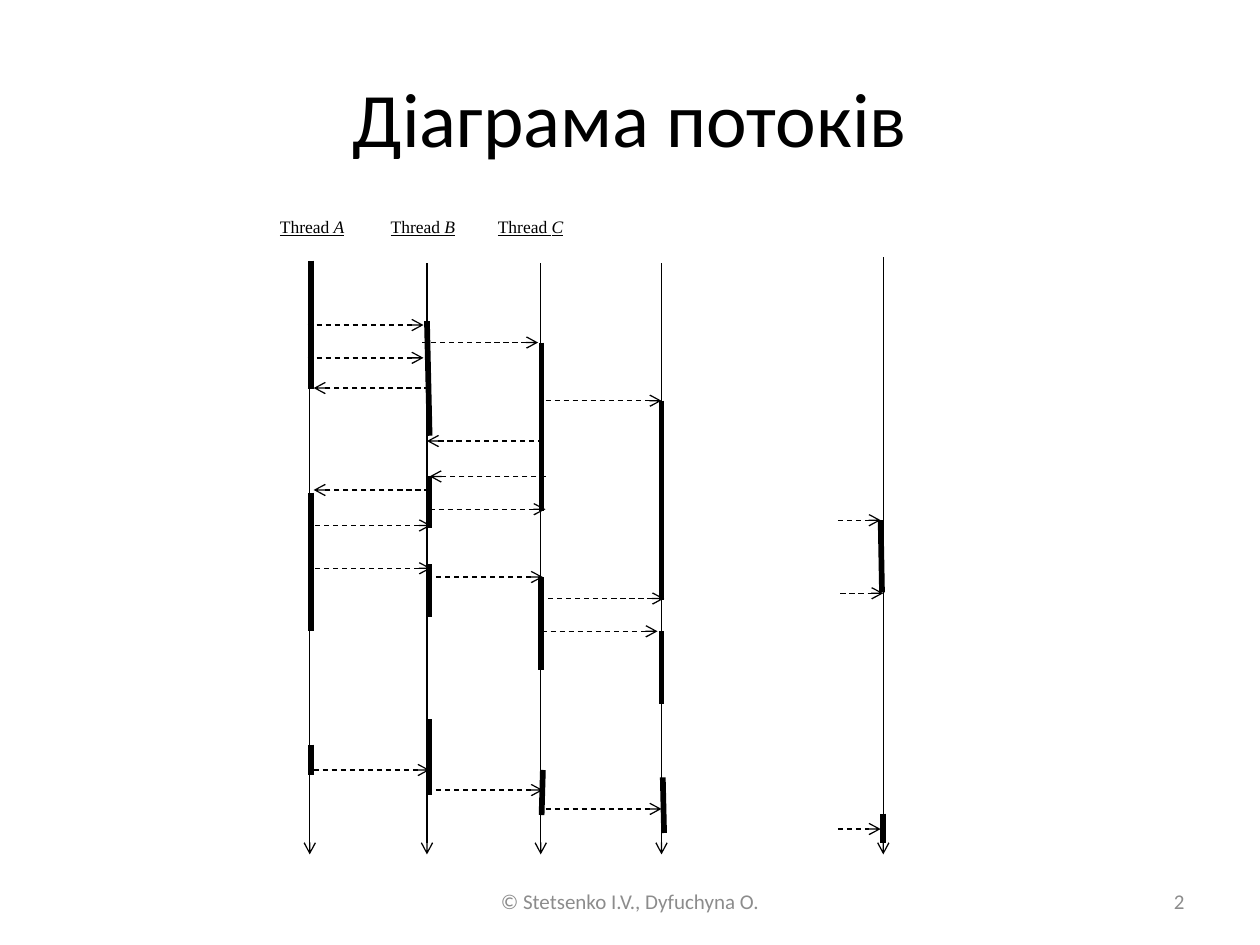
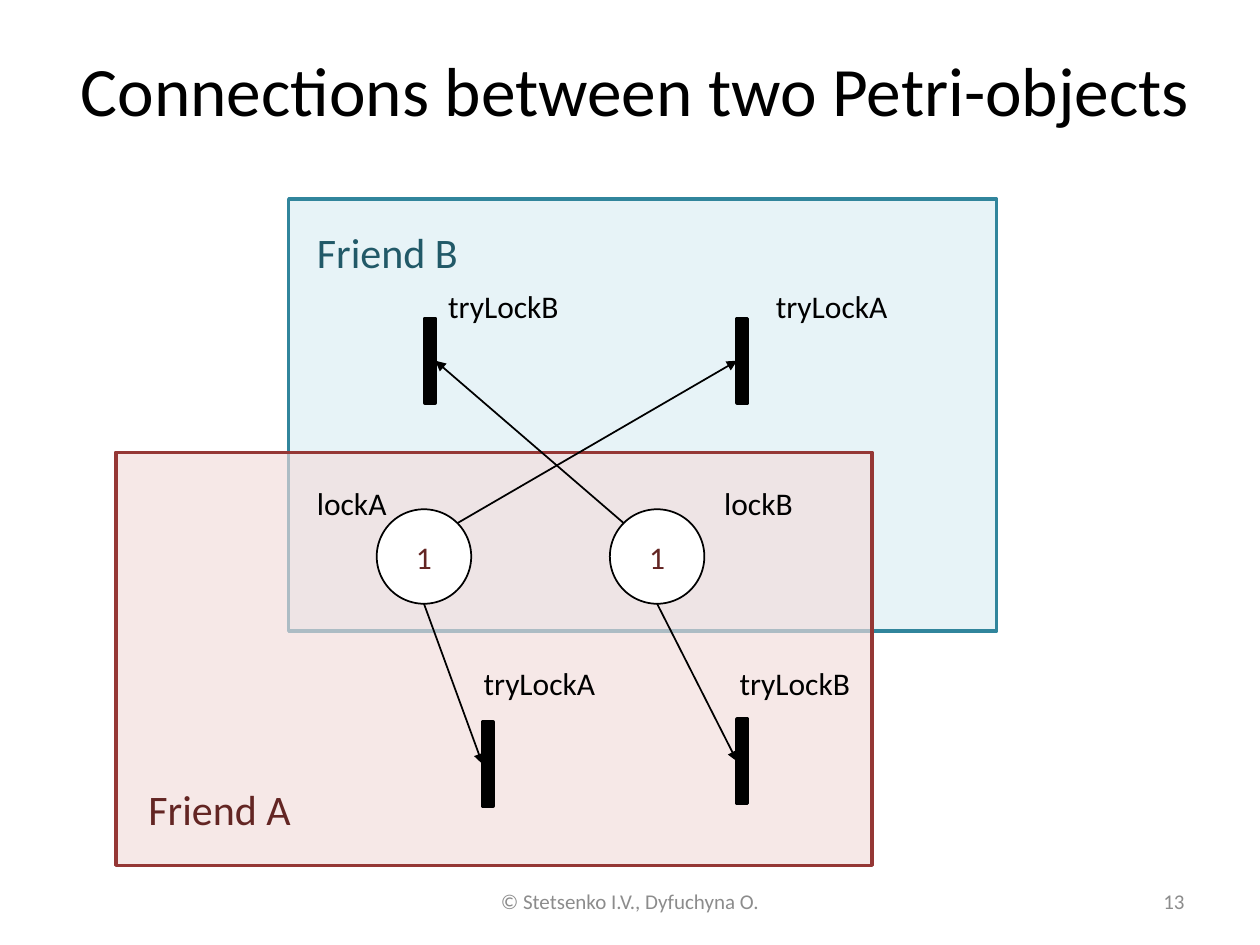
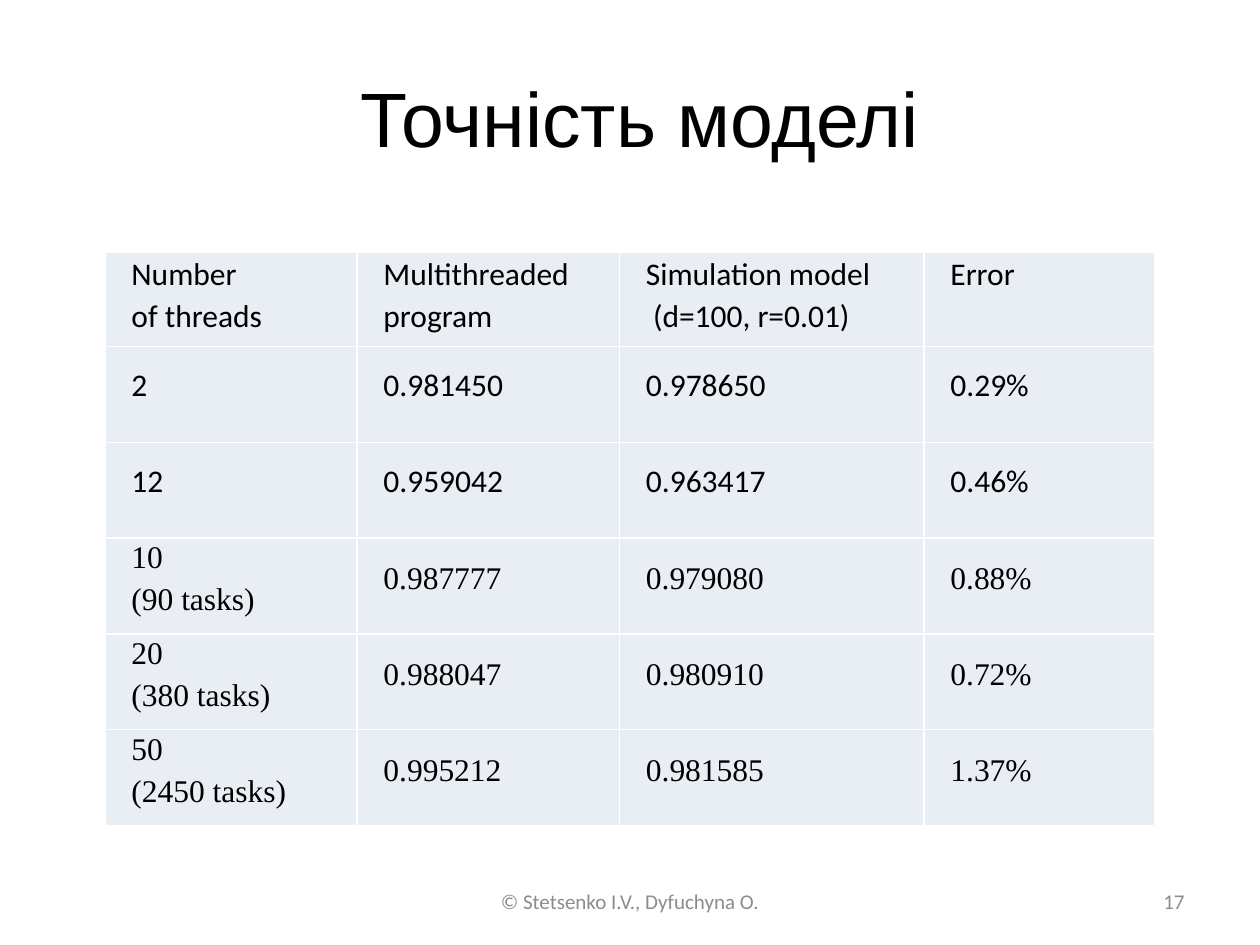
"""Build three slides on thread diagrams, Petri-objects and model accuracy."""
from dataclasses import dataclass

from lxml import etree
from pptx import Presentation
from pptx.dml.color import RGBColor
from pptx.enum.dml import MSO_LINE
from pptx.enum.shapes import MSO_CONNECTOR, MSO_SHAPE
from pptx.enum.text import MSO_ANCHOR, MSO_AUTO_SIZE, PP_ALIGN
from pptx.oxml.ns import qn
from pptx.util import Pt

LEFT, CENTER, RIGHT = PP_ALIGN.LEFT, PP_ALIGN.CENTER, PP_ALIGN.RIGHT
TOP, MIDDLE = MSO_ANCHOR.TOP, MSO_ANCHOR.MIDDLE
RECT, OVAL = MSO_SHAPE.RECTANGLE, MSO_SHAPE.OVAL
STRAIGHT, DASH = MSO_CONNECTOR.STRAIGHT, MSO_LINE.DASH
TITLE_ONLY = 5


@dataclass(frozen=True)
class Theme:
    """Colours, fonts and type sizes shared by the slides."""
    black: str = "000000"
    white: str = "FFFFFF"
    grey: str = "8C8C8C"
    cell: str = "E9EDF4"
    teal_fill: str = "DBEEF4"
    teal_line: str = "31859C"
    teal_text: str = "215968"
    red_fill: str = "F2DCDB"
    red_line: str = "953735"
    red_text: str = "632523"
    sans: str = "Calibri"
    serif: str = "Times New Roman"
    plain: str = "Arial"
    title: float = 44
    long_title: float = 39.6
    heading: float = 24
    body: float = 18
    footer: float = 12
    label: float = 10
    thin: float = 0.75
    thick: float = 3.25
    indent: float = 11.5
    leading: float = 12


THEME = Theme()

FOOTER = "© Stetsenko I.V., Dyfuchyna O."
TITLE_BOX = (36, 21.6, 648, 90)

THREAD_LABELS = [("A", 160), ("B", 223.25), ("C", 284.5)]
LIFELINES = [(177, 150.5), (244, 150.5), (309, 150.5), (378, 150.5), (504.75, 147)]
LIFELINE_END = 488.25
ACTIVITIES = [
    (177.75, 149, 177.75, 222.5), (177.75, 281.5, 177.75, 360.75),
    (177.75, 425.5, 177.75, 442.75),
    (244, 183.5, 245.5, 249), (245.5, 272.25, 245.5, 301.75),
    (245.5, 322.5, 245.5, 352.75), (245.5, 411, 245.5, 454.25),
    (309.5, 195.75, 309.5, 292.25), (309, 329.75, 309, 383),
    (310.25, 440, 309.5, 465.75),
    (378, 229, 378, 342.75), (378, 360.75, 378, 402.5), (378.75, 444.25, 379.5, 476),
    (503.25, 297.25, 504, 338.5), (504.75, 465, 504.75, 481.75),
]
MESSAGE_WIDTH, SHORT_WIDTH = 66.25, 24.5
CALLS = [
    (175.75, 185.75), (175.75, 204.5), (180, 300.25), (180, 324.75), (179.25, 440),
    (241.25, 195.75), (245.5, 291), (244, 329.75), (244, 451.5),
    (311.75, 229), (313.25, 342), (309.5, 360.75), (311.75, 462.25),
]
REPLIES = [(179.25, 221.75), (179.25, 280), (244, 252), (245.5, 272.25)]
SHORT_CALLS = [(478.75, 297.25), (480.25, 339), (478.75, 473.75)]

FRIENDS = [
    ((165, 113.75, 404.5, 247), THEME.teal_fill, THEME.teal_line, 65),
    ((66.25, 258.5, 432, 236), THEME.red_fill, THEME.red_line, 64),
]
PLACES = {"lockA": (215.25, 291, 54, 54), "lockB": (348.5, 291, 54, 54)}
TRANSITIONS = {
    "B.tryLockA": (421.25, 182, 6, 48.25),
    "B.tryLockB": (242.75, 182, 6, 48.25),
    "A.tryLockB": (421.25, 411, 6, 48.25),
    "A.tryLockA": (275.75, 412.5, 6, 48.25),
}
ARCS = [
    ("lockA", (0.85, 0.15), "B.tryLockA", (0, 0.5)),
    ("lockB", (0.15, 0.15), "B.tryLockB", (1, 0.5)),
    ("lockA", (0.5, 1), "A.tryLockA", (0, 0.5)),
    ("lockB", (0.5, 1), "A.tryLockB", (0, 0.5)),
]
FRIEND_NAMES = [
    ("Friend B", (174, 126, 120, 36), THEME.teal_text),
    ("Friend A", (77.75, 444.25, 114, 36), THEME.red_text),
]
NET_LABELS = [
    ("lockA", 174, 273), ("lockB", 406.75, 273),
    ("tryLockA", 269.25, 375.75), ("tryLockB", 415.5, 375.75),
    ("tryLockA", 436.25, 160.5), ("tryLockB", 249, 160.5),
]

COLUMN_WIDTHS = [144, 150, 174, 132]
HEADER_HEIGHT, ROW_HEIGHT = 54, 54.75
HEADER = [["Number", "of threads"], ["Multithreaded", "program"],
          ["Simulation model", " (d=100, r=0.01)"], ["Error"]]
RESULTS = [
    (THEME.sans, [["2"], ["0.981450"], ["0.978650"], ["0.29%"]]),
    (THEME.sans, [["12"], ["0.959042"], ["0.963417"], ["0.46%"]]),
    (THEME.serif, [["10", "(90 tasks)"], ["0.987777"], ["0.979080"], ["0.88%"]]),
    (THEME.serif, [["20", "(380 tasks)"], ["0.988047"], ["0.980910"], ["0.72%"]]),
    (THEME.serif, [["50", "(2450 tasks)"], ["0.995212"], ["0.981585"], ["1.37%"]]),
]


def points(values):
    """Turn numbers into point lengths."""
    return [Pt(value) for value in values]


def add_span(para, text, size, color=THEME.black, font=THEME.sans):
    """Add one formatted run."""
    span = para.add_run()
    span.text = text
    span.font.size = Pt(size)
    span.font.name = font
    span.font.color.rgb = RGBColor.from_string(color)
    return span


def indent_first_line(para):
    """Indent the first line of a paragraph."""
    para._p.get_or_add_pPr().set("indent", str(Pt(THEME.indent)))


def add_text(page, place, text, size, color=THEME.black, align=LEFT, anchor=TOP):
    """Add a wrapped one-paragraph text box."""
    box = page.shapes.add_textbox(*points(place))
    frame = box.text_frame
    frame.word_wrap = True
    frame.vertical_anchor = anchor
    para = frame.paragraphs[0]
    para.alignment = align
    add_span(para, text, size, color)


def add_page(deck, title, number, place=TITLE_BOX, size=THEME.title, font=THEME.sans):
    """Add a slide with its title, footer and number."""
    page = deck.slides.add_slide(deck.slide_layouts[TITLE_ONLY])
    box = page.shapes.title
    box.left, box.top, box.width, box.height = points(place)
    frame = box.text_frame
    frame.auto_size = MSO_AUTO_SIZE.NONE
    frame.vertical_anchor = MIDDLE
    para = frame.paragraphs[0]
    para.alignment = CENTER
    add_span(para, title, size, font=font)
    add_text(page, (246, 500.5, 228, 28.75), FOOTER, THEME.footer, THEME.grey, CENTER, MIDDLE)
    add_text(page, (516, 500.5, 168, 28.75), number, THEME.footer, THEME.grey, RIGHT, MIDDLE)
    return page


def add_line(page, start, end, width, arrow=None, dashed=False):
    """Add a straight black line, with an optional arrowhead at its end."""
    line = page.shapes.add_connector(STRAIGHT, *points((*start, *end)))
    line.line.color.rgb = RGBColor.from_string(THEME.black)
    line.line.width = Pt(width)
    if dashed:
        line.line.dash_style = DASH
    if arrow:
        etree.SubElement(line.line._get_or_add_ln(), qn("a:tailEnd"), type=arrow)
    etree.SubElement(line._element.spPr, qn("a:effectLst"))


def add_box(page, kind, place, fill, outline, width, opacity=100):
    """Add a filled and outlined preset shape."""
    box = page.shapes.add_shape(kind, *points(place))
    box.shadow.inherit = False
    box.fill.solid()
    box.fill.fore_color.rgb = RGBColor.from_string(fill)
    box.line.color.rgb = RGBColor.from_string(outline)
    box.line.width = Pt(width)
    if opacity < 100:
        color = box._element.spPr.find(qn("a:solidFill"))[0]
        etree.SubElement(color, qn("a:alpha"), val=str(opacity * 1000))
    return box


def build_threads(deck):
    """Build the thread diagram."""
    page = add_page(deck, "Діаграма потоків", "2")
    for x, top in LIFELINES:
        add_line(page, (x, top), (x, LIFELINE_END), THEME.thin, "arrow")
    for x1, y1, x2, y2 in ACTIVITIES:
        add_line(page, (x1, y1), (x2, y2), THEME.thick)
    messages = [(x, x + MESSAGE_WIDTH, y) for x, y in CALLS]
    messages += [(x + MESSAGE_WIDTH, x, y) for x, y in REPLIES]
    messages += [(x, x + SHORT_WIDTH, y) for x, y in SHORT_CALLS]
    for start, end, y in messages:
        add_line(page, (start, y), (end, y), THEME.thin, "arrow", dashed=True)
    for name, left in THREAD_LABELS:
        box = page.shapes.add_textbox(*points((left, 123.25, 53, 10)))
        frame = box.text_frame
        frame.word_wrap = True
        frame.margin_left = frame.margin_right = frame.margin_top = frame.margin_bottom = 0
        para = frame.paragraphs[0]
        for text, italic in (("Thread ", False), (name, True)):
            span = add_span(para, text, THEME.label, font=THEME.serif)
            span.font.underline = True
            span.font.italic = italic


def point_on(place, fraction):
    """Find a point at the given fractions of a rectangle."""
    left, top, width, height = place
    return left + width * fraction[0], top + height * fraction[1]


def build_petri(deck):
    """Build the net that joins two Petri-objects."""
    page = add_page(deck, "Connections between two Petri-objects", "13",
                    (30, 6, 666, 90), THEME.long_title)
    for place, fill, outline, opacity in FRIENDS:
        add_box(page, RECT, place, fill, outline, 2, opacity)
    for place in PLACES.values():
        circle = add_box(page, OVAL, place, THEME.white, THEME.black, 1)
        circle.text_frame.vertical_anchor = MIDDLE
        para = circle.text_frame.paragraphs[0]
        para.alignment = CENTER
        add_span(para, "1", THEME.body, THEME.red_text)
    for place in TRANSITIONS.values():
        add_box(page, RECT, place, THEME.black, THEME.black, 2)
    for source, leaving, target, entering in ARCS:
        add_line(page, point_on(PLACES[source], leaving),
                 point_on(TRANSITIONS[target], entering), 1, "triangle")
    for text, place, color in FRIEND_NAMES:
        add_text(page, place, text, THEME.heading, color)
    for text, left, top in NET_LABELS:
        add_text(page, (left, top, 78.5, 29), text, THEME.body)


def add_borders(cell):
    """Give a table cell white borders on all sides."""
    properties = cell._tc.get_or_add_tcPr()
    for index, side in enumerate(("lnL", "lnR", "lnT", "lnB")):
        border = etree.Element(qn(f"a:{side}"), w=str(Pt(1)))
        fill = etree.SubElement(border, qn("a:solidFill"))
        etree.SubElement(fill, qn("a:srgbClr"), val=THEME.white)
        properties.insert(index, border)


def fill_cell(cell, lines, font, is_header):
    """Write the lines of one table cell and format it."""
    cell.fill.solid()
    cell.fill.fore_color.rgb = RGBColor.from_string(THEME.cell)
    add_borders(cell)
    cell.margin_left = cell.margin_right = Pt(3.6)
    cell.margin_top = cell.margin_bottom = 0
    cell.vertical_anchor = TOP if is_header else MIDDLE
    for index, text in enumerate(lines):
        frame = cell.text_frame
        para = frame.add_paragraph() if index else frame.paragraphs[0]
        para.line_spacing = Pt(THEME.leading * (2 if is_header else 1))
        if index and not is_header:
            para.space_before = Pt(THEME.leading)
        indent_first_line(para)
        add_span(para, text, THEME.body, font=font)


def build_accuracy(deck):
    """Build the table of model accuracy."""
    page = add_page(deck, "Точність моделі", "17", font=THEME.plain)
    indent_first_line(page.shapes.title.text_frame.paragraphs[0])
    rows = [(THEME.sans, HEADER), *RESULTS]
    heights = [HEADER_HEIGHT] + [ROW_HEIGHT] * len(RESULTS)
    place = (60, 144, sum(COLUMN_WIDTHS), sum(heights))
    table = page.shapes.add_table(len(rows), len(COLUMN_WIDTHS), *points(place)).table
    table.first_row = table.horz_banding = False
    for column, width in zip(table.columns, COLUMN_WIDTHS):
        column.width = Pt(width)
    for r, (font, cells) in enumerate(rows):
        table.rows[r].height = Pt(heights[r])
        for c, lines in enumerate(cells):
            fill_cell(table.cell(r, c), lines, font, r == 0)


def main():
    """Build and save the deck."""
    deck = Presentation()
    deck.slide_width, deck.slide_height = Pt(720), Pt(540)
    build_threads(deck)
    build_petri(deck)
    build_accuracy(deck)
    deck.save("out.pptx")


if __name__ == "__main__":
    main()
